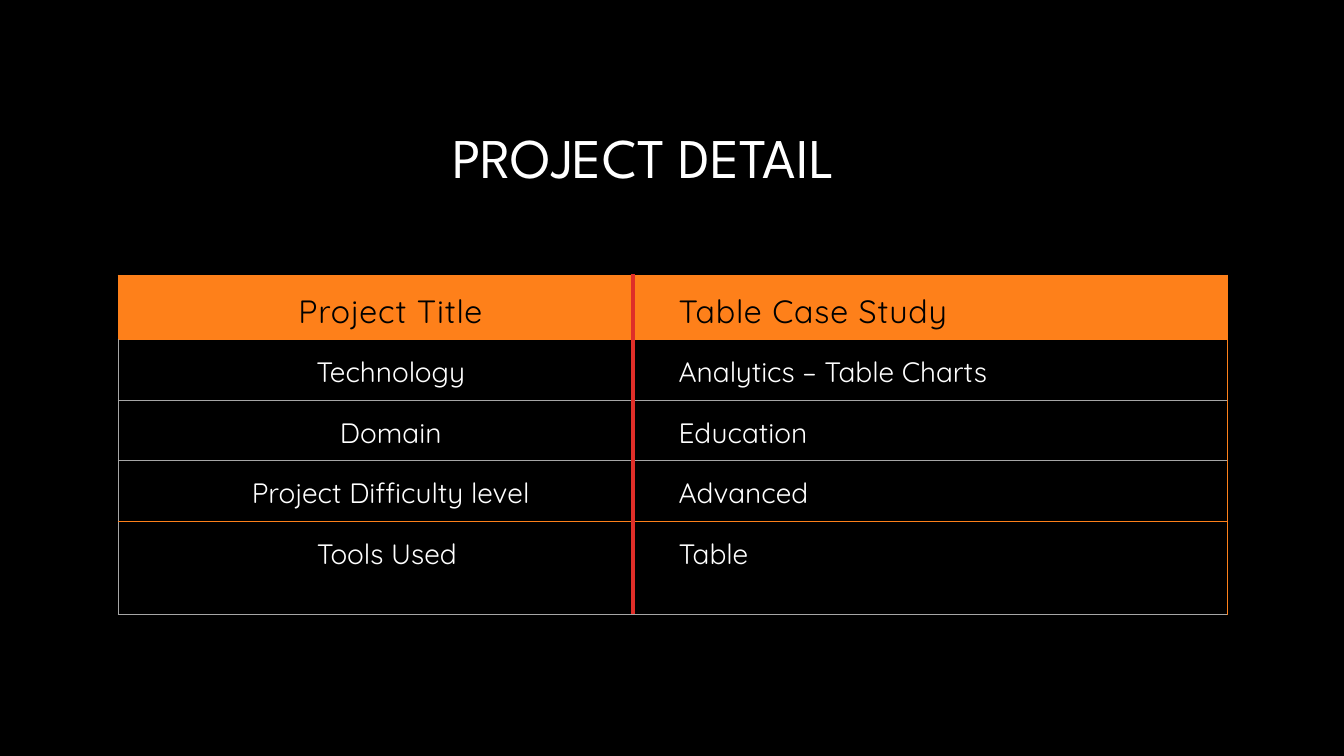
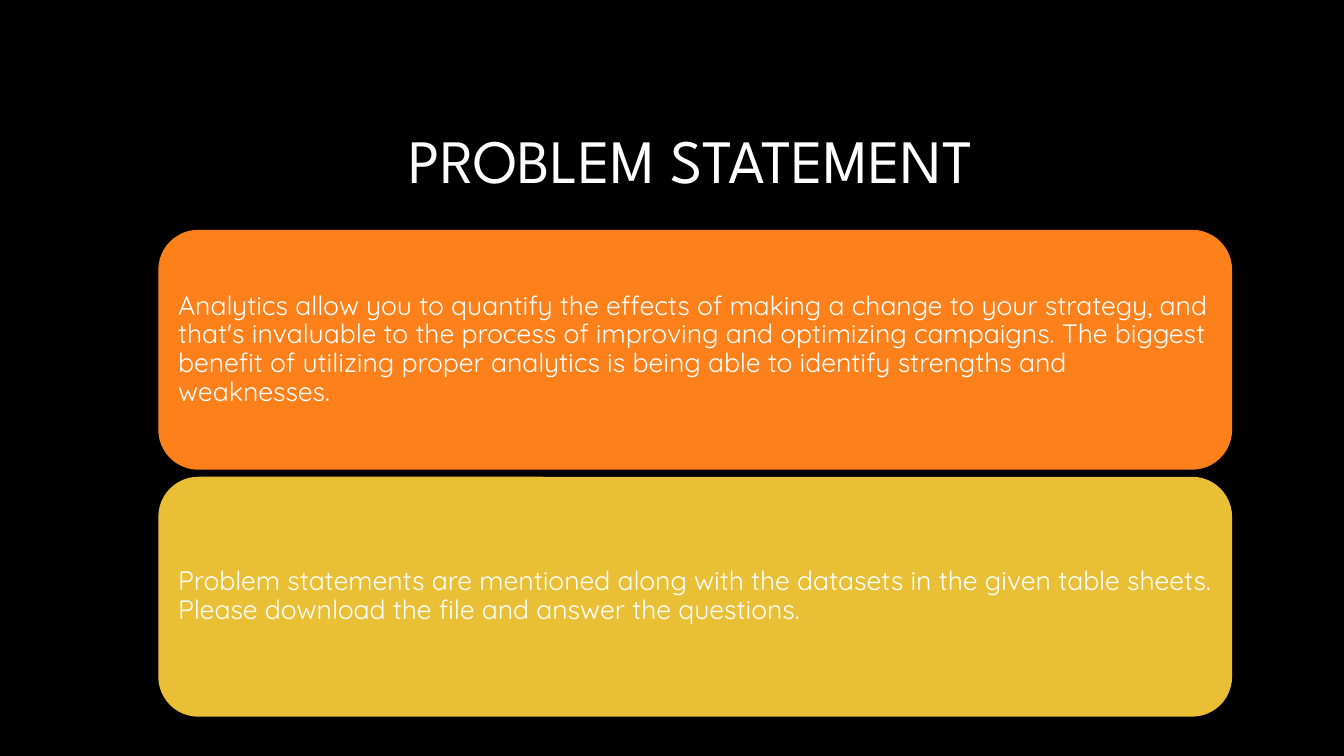
from lxml.etree import SubElement
from pptx import Presentation
from pptx.dml.color import RGBColor
from pptx.enum.shapes import MSO_CONNECTOR, MSO_SHAPE
from pptx.enum.text import MSO_ANCHOR, PP_ALIGN
from pptx.oxml import parse_xml
from pptx.oxml.ns import nsdecls, qn
from pptx.util import Inches, Pt

# Shared style
BLACK = RGBColor(0x00, 0x00, 0x00)
WHITE = RGBColor(0xFF, 0xFF, 0xFF)
ORANGE = RGBColor(0xFE, 0x80, 0x1A)
YELLOW = RGBColor(0xE9, 0xBF, 0x35)
RED = RGBColor(0xDF, 0x2E, 0x28)
GRAY = RGBColor(0xA6, 0xA6, 0xA6)
TITLE_FONT = "League Spartan"
BODY_FONT = "Quicksand"
PLAIN_TABLE_STYLE = "{2D5ABB26-0587-4C30-8999-92F81FD0307C}"

# Content
DETAIL_TITLE = "PROJECT DETAIL"
DETAILS = [
    ("Project Title", "Table Case Study"),
    ("Technology", "Analytics – Table Charts"),
    ("Domain", "Education"),
    ("Project Difficulty level", "Advanced"),
    ("Tools Used ", "Table"),
]
COLUMN_WIDTHS = (5.41, 5.59)
ROW_HEIGHTS = (0.64, 0.6, 0.6, 0.6, 0.93)
RULES = (ORANGE, ORANGE, GRAY, GRAY, ORANGE, GRAY)  # above each row, then below the last

PROBLEM_TITLE = "PROBLEM STATEMENT "
STATEMENTS = [
    ("Analytics allow you to quantify the effects of making a change to your strategy, and\n"
     "that's invaluable to the process of improving and optimizing campaigns. The biggest\n"
     "benefit of utilizing proper analytics is being able to identify strengths and weaknesses.",
     ORANGE),
    ("Problem statements are mentioned along with the datasets in the given table sheets.\n"
     "Please download the file and answer the questions.",
     YELLOW),
]


def style(paragraph, font_name, size, color, align=PP_ALIGN.LEFT):
    paragraph.alignment = align
    font = paragraph.font
    font.name, font.size, font.bold = font_name, Pt(size), False
    font.color.rgb = color


def add_slide(prs, title, box, size):
    """Black slide with a centred title in the given box."""
    slide = prs.slides.add_slide(prs.slide_layouts[6])
    slide.background.fill.solid()
    slide.background.fill.fore_color.rgb = BLACK
    frame = slide.shapes.add_textbox(*map(Inches, box)).text_frame
    frame.word_wrap = True
    frame.vertical_anchor = MSO_ANCHOR.MIDDLE
    heading = frame.paragraphs[0]
    heading.text = title
    heading.line_spacing = 0.9
    style(heading, TITLE_FONT, size, WHITE, PP_ALIGN.CENTER)
    return slide


def set_borders(cell, left, right, top, bottom):
    """Draw the four cell borders; None leaves a side without a line."""
    properties = cell._tc.get_or_add_tcPr()
    sides = (("L", left), ("R", right), ("T", top), ("B", bottom))
    for index, (side, color) in enumerate(sides):
        line = parse_xml(f'<a:ln{side} {nsdecls("a")} w="{Pt(0.75)}"/>')
        if color is None:
            SubElement(line, qn("a:noFill"))
        else:
            fill = SubElement(line, qn("a:solidFill"))
            SubElement(fill, qn("a:srgbClr"), val=str(color))
            SubElement(line, qn("a:prstDash"), val="solid")
        properties.insert(index, line)


def fill_cell(cell, text, row, column):
    header = row == 0
    cell.fill.solid()
    cell.fill.fore_color.rgb = ORANGE if header else BLACK
    cell.margin_left = cell.margin_right = cell.margin_top = Inches(0.15)
    cell.margin_bottom = Inches(0.07)
    cell.vertical_anchor = MSO_ANCHOR.MIDDLE if header else MSO_ANCHOR.TOP
    label = cell.text_frame.paragraphs[0]
    label.text = text
    style(label, BODY_FONT, 23 if header else 20, BLACK if header else WHITE,
          PP_ALIGN.LEFT if column else PP_ALIGN.CENTER)
    if header:
        label.runs[0]._r.get_or_add_rPr().set("spc", "60")
    outer_left = ORANGE if header else GRAY
    set_borders(cell, None if column else outer_left, ORANGE if column else None,
                RULES[row], RULES[row + 1])


def add_detail_slide(prs):
    slide = add_slide(prs, DETAIL_TITLE, (1.67, 0.89, 9.42, 1.41), 40)

    # Detail table
    table = slide.shapes.add_table(
        len(DETAILS), len(COLUMN_WIDTHS), Inches(1.17), Inches(2.73),
        Inches(sum(COLUMN_WIDTHS)), Inches(sum(ROW_HEIGHTS))).table
    table.first_row = table.horz_banding = False
    table._tbl.tblPr.find(qn("a:tableStyleId")).text = PLAIN_TABLE_STYLE
    for column, width in zip(table.columns, COLUMN_WIDTHS):
        column.width = Inches(width)
    for row, height in zip(table.rows, ROW_HEIGHTS):
        row.height = Inches(height)
    for row, texts in enumerate(DETAILS):
        for column, text in enumerate(texts):
            fill_cell(table.cell(row, column), text, row, column)

    # Red divider
    divider = slide.shapes.add_connector(
        MSO_CONNECTOR.STRAIGHT, Inches(6.28), Inches(2.72), Inches(6.28), Inches(6.09))
    divider.line.color.rgb = RED
    divider.line.width = Pt(3.25)
    SubElement(divider._element.spPr, qn("a:effectLst"))


def add_problem_slide(prs):
    slide = add_slide(prs, PROBLEM_TITLE, (2.8, 0.9, 8.26, 1.45), 44)

    # Stacked statement cards
    top, height, gap = 2.28, 2.38, 0.07
    for index, (text, color) in enumerate(STATEMENTS):
        card = slide.shapes.add_shape(
            MSO_SHAPE.ROUNDED_RECTANGLE, Inches(1.57),
            Inches(top + index * (height + gap)), Inches(10.65), Inches(height))
        card.shadow.inherit = False
        card.fill.solid()
        card.fill.fore_color.rgb = color
        card.line.fill.background()
        frame = card.text_frame
        frame.word_wrap = True
        frame.vertical_anchor = MSO_ANCHOR.MIDDLE
        frame.margin_left = frame.margin_right = Inches(0.08)
        frame.margin_top = frame.margin_bottom = Inches(0.08)
        statement = frame.paragraphs[0]
        statement.text = text
        statement.line_spacing = 0.9
        style(statement, BODY_FONT, 19, WHITE)


def main():
    prs = Presentation()
    prs.slide_width, prs.slide_height = Inches(13.33), Inches(7.5)
    add_detail_slide(prs)
    add_problem_slide(prs)
    prs.save("out.pptx")


if __name__ == "__main__":
    main()
